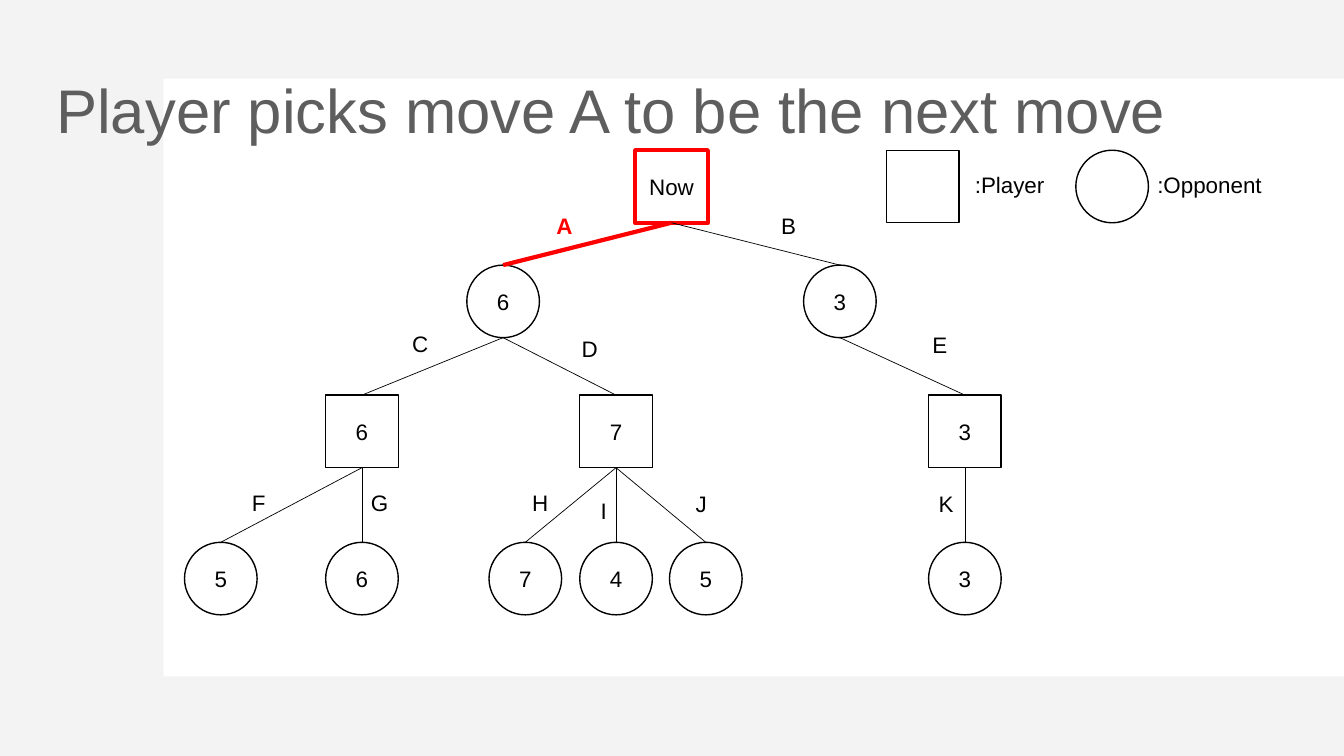
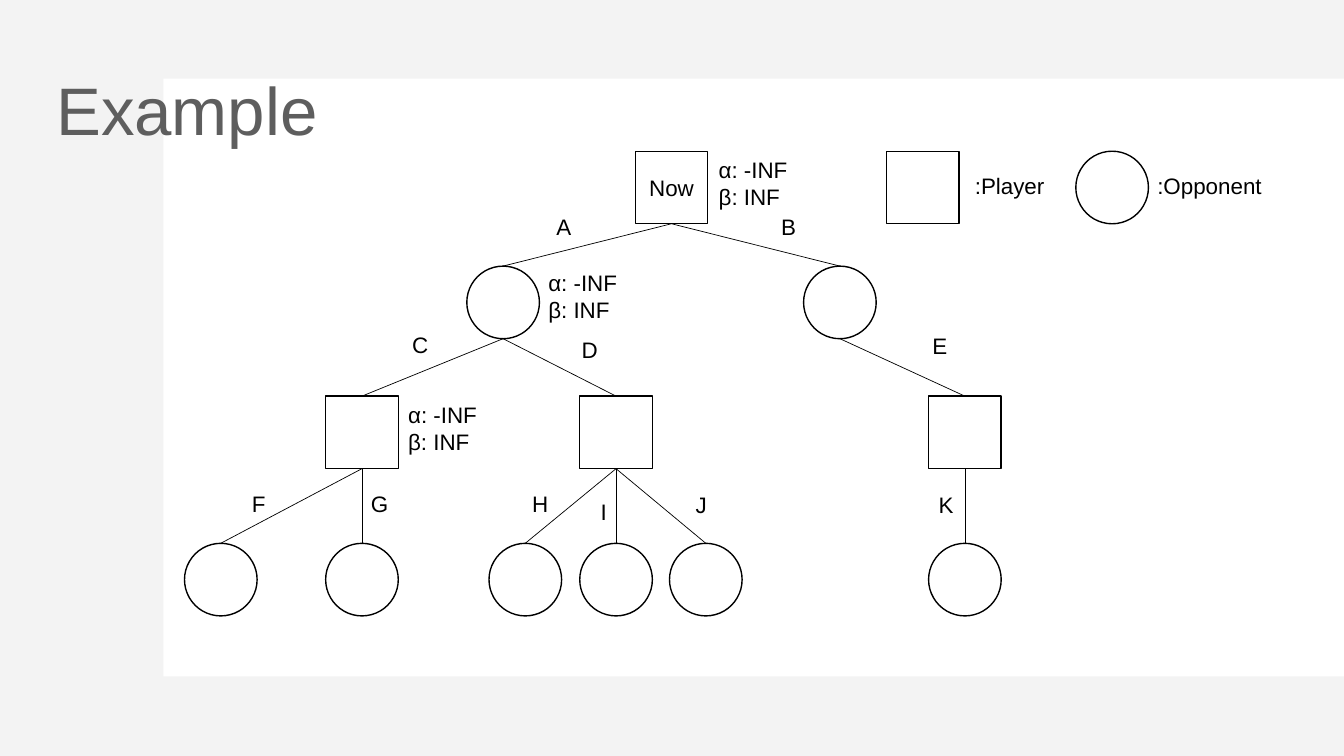
from lxml import etree
from pptx import Presentation
from pptx.dml.color import RGBColor
from pptx.enum.shapes import MSO_CONNECTOR, MSO_SHAPE
from pptx.enum.text import MSO_ANCHOR, PP_ALIGN
from pptx.oxml.ns import qn
from pptx.util import Inches, Pt

STRAIGHT = MSO_CONNECTOR.STRAIGHT
SQUARE, CIRCLE = MSO_SHAPE.RECTANGLE, MSO_SHAPE.OVAL
TOP, MIDDLE = MSO_ANCHOR.TOP, MSO_ANCHOR.MIDDLE
LEFT, CENTER = PP_ALIGN.LEFT, PP_ALIGN.CENTER

FONT = "Arial"
BLACK = RGBColor(0x00, 0x00, 0x00)
WHITE = RGBColor(0xFF, 0xFF, 0xFF)
RED = RGBColor(0xFF, 0x00, 0x00)
TITLE_GREY = RGBColor(0x5E, 0x5E, 0x5E)
BACKDROP_GREY = RGBColor(0xDD, 0xDD, 0xDD)

PAGE_WIDTH, PAGE_HEIGHT = 13.33, 7.5
NODE = 0.72
ROW_TOPS = (1.49, 2.63, 3.92, 5.38)  # players on even rows, opponents on odd
LABEL_SIZE = (0.32, 0.37)
BOUNDS_SIZE = (0.91, 0.64)
ROOT = "Now"

# Each node is named after the move that leads to it: (row, left, parent)
TREE = {
    ROOT: (0, 6.3, None),
    "A": (1, 4.63, ROOT),
    "B": (1, 7.97, ROOT),
    "C": (2, 3.23, "A"),
    "D": (2, 5.75, "A"),
    "E": (2, 9.21, "B"),
    "F": (3, 1.83, "C"),
    "G": (3, 3.23, "C"),
    "H": (3, 4.85, "D"),
    "I": (3, 5.75, "D"),
    "J": (3, 6.64, "D"),
    "K": (3, 9.21, "E"),
}
MOVE_LABELS = {
    "A": (5.42, 2.06), "B": (7.65, 2.06), "C": (3.99, 3.23), "D": (5.67, 3.28),
    "E": (9.15, 3.24), "F": (2.4, 4.8), "G": (3.58, 4.8), "H": (5.18, 4.8),
    "I": (5.86, 4.88), "J": (6.8, 4.81), "K": (9.21, 4.81),
}
# Shape, shape left, label, label left, label width
LEGEND = [
    (SQUARE, 8.79, ":Player", 9.57, 0.98),
    (CIRCLE, 10.67, ":Opponent", 11.38, 1.32),
]
BOUNDS = ["α: -INF", "β: INF"]

SLIDES = [
    {
        "title": "Player picks move A to be the next move", "title_size": 44,
        "shift": 0, "chosen": (ROOT, "A"), "bounds_at": [],
        "values": {"A": "6", "B": "3", "C": "6", "D": "7", "E": "3", "F": "5",
                   "G": "6", "H": "7", "I": "4", "J": "5", "K": "3"},
    },
    {
        "title": "Example", "title_size": 48,
        "shift": 0.01, "chosen": (), "values": {},
        "bounds_at": [(7.03, 1.5), (5.34, 2.62), (3.95, 3.93)],
    },
]


def write(box, lines, size=16, color=BLACK, bold=False, align=LEFT, anchor=TOP,
          spacing=None):
    frame = box.text_frame
    frame.word_wrap = True
    frame.vertical_anchor = anchor
    for index, line in enumerate(lines):
        para = frame.add_paragraph() if index else frame.paragraphs[0]
        para.alignment = align
        para.line_spacing = spacing
        span = para.add_run()
        span.text = line
        span.font.name = FONT
        span.font.size = Pt(size)
        span.font.bold = bold
        span.font.color.rgb = color


def add_text(page, left, top, width, height, lines, **style):
    box = page.shapes.add_textbox(*map(Inches, (left, top, width, height)))
    write(box, lines, **style)


def add_panel(page, left, top, width, height, color):
    panel = page.shapes.add_shape(SQUARE, *map(Inches, (left, top, width, height)))
    panel.shadow.inherit = False
    panel.fill.solid()
    panel.fill.fore_color.rgb = color
    panel.line.fill.background()
    return panel


def add_node(page, shape, left, top, text="", color=BLACK, weight=1):
    node = page.shapes.add_shape(shape, *map(Inches, (left, top, NODE, NODE)))
    node.shadow.inherit = False
    node.fill.background()
    node.line.color.rgb = color
    node.line.width = Pt(weight)
    if text:
        write(node, [text], align=CENTER, anchor=MIDDLE)


def add_edge(page, start, end, color=BLACK, weight=0.5):
    edge = page.shapes.add_connector(STRAIGHT, *map(Inches, start + end))
    edge.line.color.rgb = color
    edge.line.width = Pt(weight)
    etree.SubElement(edge._element.spPr, qn("a:effectLst"))


def add_frame(page, title, size):
    # Translucent backdrop, white panel and title
    backdrop = add_panel(page, 0, 0, PAGE_WIDTH, PAGE_HEIGHT, BACKDROP_GREY)
    tint = backdrop._element.spPr.find(".//" + qn("a:srgbClr"))
    etree.SubElement(tint, qn("a:alpha"), val="35000")
    add_panel(page, 1.62, 0.78, PAGE_WIDTH - 1.62, 5.93, WHITE)
    add_text(page, 0.46, 0.4, 11.53, 1.45, [title], size=size, color=TITLE_GREY,
             anchor=MIDDLE, spacing=0.9)


def add_tree(page, values, chosen, shift):
    tops = [top + shift for top in ROW_TOPS]
    highlight = {"color": RED, "weight": 3}

    for name, (row, left, parent) in TREE.items():
        text = ROOT if name == ROOT else values.get(name, "")
        style = highlight if name == ROOT and name in chosen else {}
        add_node(page, CIRCLE if row % 2 else SQUARE, left, tops[row], text, **style)

    # Branches run from the bottom of the parent to the top of the child
    for name, (row, left, parent) in TREE.items():
        if parent:
            start = (TREE[parent][1] + NODE / 2, tops[row - 1] + NODE)
            end = (left + NODE / 2, tops[row])
            add_edge(page, start, end, **(highlight if name in chosen else {}))

    for name, (left, top) in MOVE_LABELS.items():
        picked = name in chosen
        add_text(page, left, top + shift, *LABEL_SIZE, [name],
                 color=RED if picked else BLACK, bold=picked)


def add_legend(page, shift):
    top = ROW_TOPS[0] + shift
    for shape, left, label, label_left, label_width in LEGEND:
        add_node(page, shape, left, top)
        add_text(page, label_left, top + 0.16, label_width, LABEL_SIZE[1], [label])


def main():
    deck = Presentation()
    deck.slide_width = Inches(PAGE_WIDTH)
    deck.slide_height = Inches(PAGE_HEIGHT)
    for content in SLIDES:
        page = deck.slides.add_slide(deck.slide_layouts[6])
        add_frame(page, content["title"], content["title_size"])
        add_tree(page, content["values"], content["chosen"], content["shift"])
        add_legend(page, content["shift"])
        for left, top in content["bounds_at"]:
            add_text(page, left, top, *BOUNDS_SIZE, BOUNDS)
    deck.save("out.pptx")


if __name__ == "__main__":
    main()
